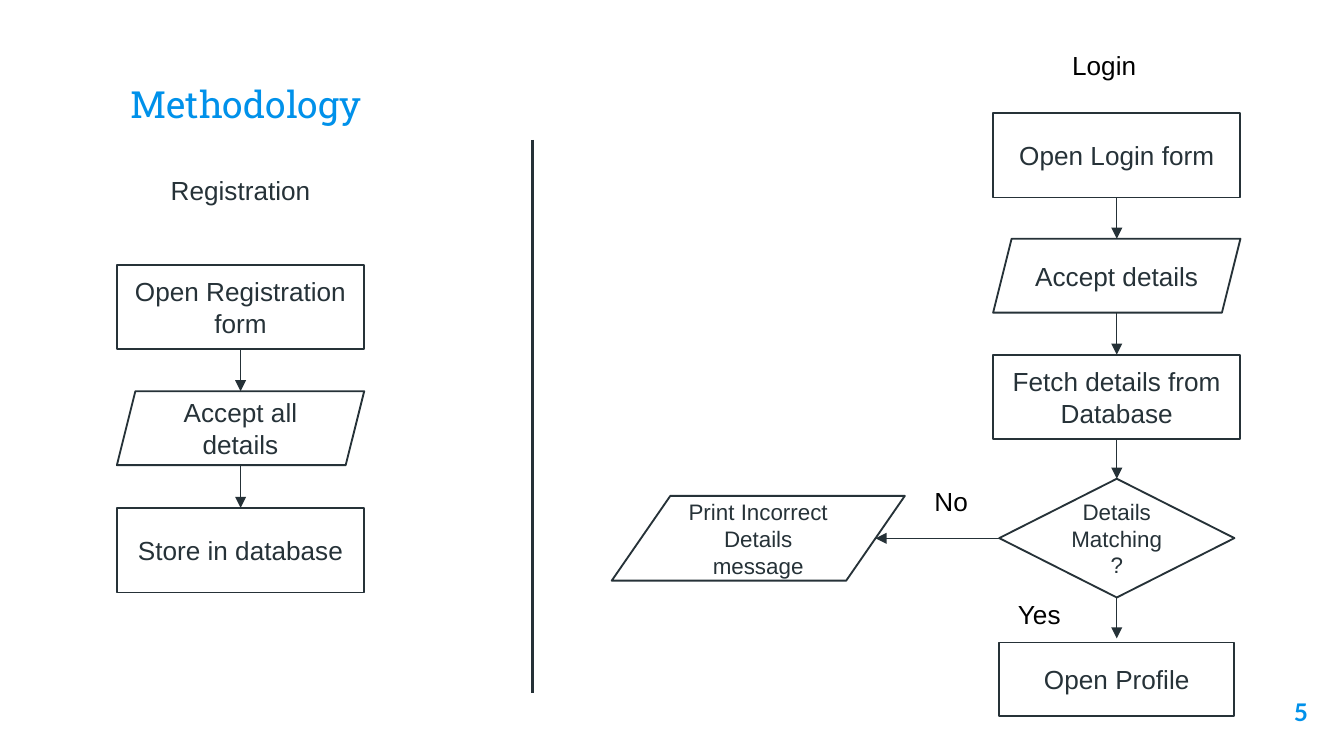
from lxml import etree
from pptx import Presentation
from pptx.dml.color import RGBColor
from pptx.enum.shapes import MSO_CONNECTOR, MSO_SHAPE
from pptx.enum.text import MSO_ANCHOR, PP_ALIGN
from pptx.oxml.ns import qn
from pptx.util import Pt

PROCESS = MSO_SHAPE.RECTANGLE
INPUT = MSO_SHAPE.PARALLELOGRAM
OUTPUT = MSO_SHAPE.FLOWCHART_DATA
DECISION = MSO_SHAPE.DIAMOND
STRAIGHT = MSO_CONNECTOR.STRAIGHT
LEFT, CENTER, RIGHT = PP_ALIGN.LEFT, PP_ALIGN.CENTER, PP_ALIGN.RIGHT
TOP, MIDDLE, BOTTOM = MSO_ANCHOR.TOP, MSO_ANCHOR.MIDDLE, MSO_ANCHOR.BOTTOM

COLORS = {"accent": "0091EA", "ink": "263238", "arrow": "253137",
          "black": "000000", "paper": "FFFFFF"}

REGISTRATION_X, LOGIN_X = 128.9, 598.3
STEP_W, END_W, OUTPUT_W = 132.5, 126, 157
PROCESS_H, INPUT_H, DECISION_H = 45.4, 39.6, 63.6

FLOWS = [
    (REGISTRATION_X, [
        ("Open Registration form", PROCESS, 141.8, STEP_W, PROCESS_H, 14),
        ("Accept all details", INPUT, 209.6, STEP_W, INPUT_H, 14),
        ("Store in database", PROCESS, 272.1, STEP_W, PROCESS_H, 14),
    ]),
    (LOGIN_X, [
        ("Open Login form", PROCESS, 60.5, STEP_W, PROCESS_H, 14),
        ("Accept details", INPUT, 127.9, STEP_W, INPUT_H, 14),
        ("Fetch details from Database", PROCESS, 190, STEP_W, PROCESS_H, 14),
        ("Details Matching?", DECISION, 256.5, END_W, DECISION_H, 12),
        ("Open Profile", PROCESS, 344.2, END_W, INPUT_H, 14),
    ]),
]
REJECTION = ("Print Incorrect Details message", OUTPUT, 265.7, OUTPUT_W, PROCESS_H, 12)
REJECTION_X = 406.2

LABELS = [
    ("Registration", REGISTRATION_X, 90, 126, "ink"),
    ("Login", 591.6, 23, 108, "black"),
    ("No", 509.6, 256.4, 33, "black"),
    ("Yes", 556.8, 317, 39, "black"),
]


def rgb(name):
    return RGBColor.from_string(COLORS[name])


def write(holder, text, size, color, font="Arial", bold=False,
          align=CENTER, anchor=TOP, inset=7.2):
    frame = holder.text_frame
    frame.text = text
    layout = {"word_wrap": True, "vertical_anchor": anchor,
              "margin_left": Pt(7.2), "margin_right": Pt(7.2),
              "margin_top": Pt(inset), "margin_bottom": Pt(inset)}
    for key, value in layout.items():
        setattr(frame, key, value)
    paragraph = frame.paragraphs[0]
    paragraph.alignment = align
    style = paragraph.runs[0].font
    for key, value in {"name": font, "size": Pt(size), "bold": bold}.items():
        setattr(style, key, value)
    style.color.rgb = rgb(color)


def add_step(center, step):
    text, kind, top, width, height, size = step
    box = slide.shapes.add_shape(kind, Pt(center - width / 2), Pt(top), Pt(width), Pt(height))
    box.shadow.inherit = False
    box.fill.solid()
    box.fill.fore_color.rgb = rgb("paper")
    box.line.color.rgb = rgb("ink")
    box.line.width = Pt(1)
    write(box, text, size, "ink", anchor=MIDDLE, inset=3.6)


def add_line(x1, y1, x2, y2, width=0.75, arrow=True):
    link = slide.shapes.add_connector(STRAIGHT, Pt(x1), Pt(y1), Pt(x2), Pt(y2))
    link.line.color.rgb = rgb("arrow")
    link.line.width = Pt(width)
    if arrow:
        etree.SubElement(link.line._get_or_add_ln(), qn("a:tailEnd"), type="triangle")
    etree.SubElement(link._element.spPr, qn("a:effectLst"))


deck = Presentation()
deck.slide_width, deck.slide_height = Pt(720), Pt(405)
slide = deck.slides.add_slide(deck.slide_layouts[5])

title = slide.shapes.title
for side, value in {"left": 62.6, "top": 20.9, "width": 444, "height": 54}.items():
    setattr(title, side, Pt(value))
write(title, "Methodology", 20, "accent", font="Roboto Slab", align=LEFT, anchor=BOTTOM)

page = slide.shapes.add_textbox(Pt(664.6), Pt(366.5), Pt(43.2), Pt(31))
write(page, "5", 13, "accent", font="Lato", bold=True, align=RIGHT)

for center, steps in FLOWS:
    for step in steps:
        add_step(center, step)
    for (_, _, top, _, height, _), following in zip(steps, steps[1:]):
        gap = 2.2 if following[0] == "Open Profile" else 0
        add_line(center, top + height, center, following[2] - gap)

add_step(REJECTION_X, REJECTION)
branch_y = REJECTION[2] + PROCESS_H / 2
add_line(LOGIN_X - END_W / 2, branch_y, REJECTION_X + OUTPUT_W * 0.4, branch_y)

for text, center, top, width, color in LABELS:
    label = slide.shapes.add_textbox(Pt(center - width / 2), Pt(top), Pt(width), Pt(24.2))
    write(label, text, 14, color, inset=3.6)

add_line(285.3, 75, 285.3, 371.5, width=1.5, arrow=False)

deck.save("out.pptx")
